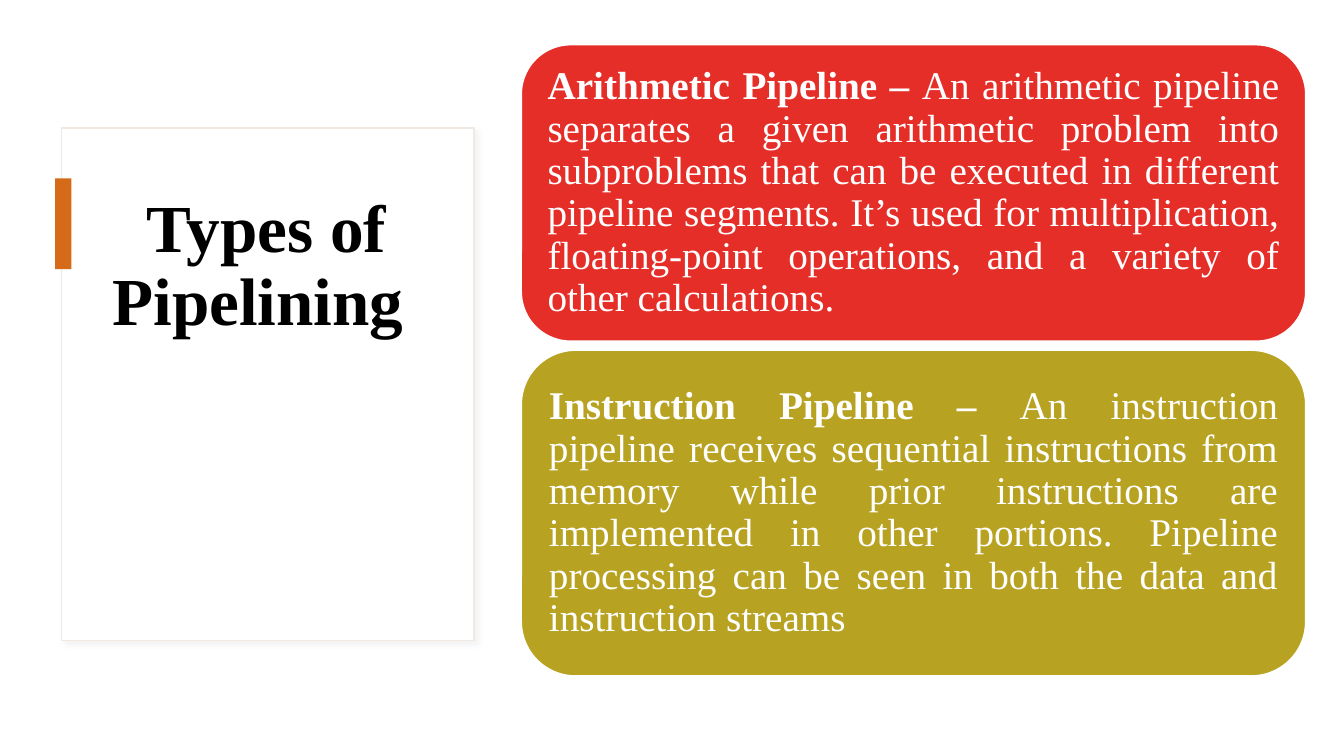
from lxml.etree import SubElement as Sub
from pptx import Presentation
from pptx.dml.color import RGBColor as Rgb
from pptx.enum.shapes import MSO_SHAPE as Form
from pptx.enum.text import MSO_ANCHOR as Anchor, PP_ALIGN as Align
from pptx.oxml.ns import qn
from pptx.util import Pt


def tint(code):
    return Rgb.from_string(code)


class Deck:
    """Hold the style and the current slide."""

    face = "Times New Roman"

    def __init__(self, wide, high):
        self.show = Presentation()
        self.show.slide_width, self.show.slide_height = Pt(wide), Pt(high)
        self.slide = self.show.slides.add_slide(self.show.slide_layouts[6])

    def shape(self, form, area, fill, line=None):
        item = self.slide.shapes.add_shape(form, *map(Pt, area))
        item.shadow.inherit = False
        item.fill.solid()
        item.fill.fore_color.rgb = tint(fill)
        if line:
            item.line.color.rgb = tint(line)
            item.line.width = Pt(1)
        else:
            item.line.fill.background()
        return item

    def shade(self, item, code):
        group = item.element.spPr.find(qn("a:effectLst"))
        cast = Sub(group, qn("a:outerShdw"), blurRad=str(Pt(4)),
                   dist=str(Pt(3)), dir="2700000", algn="tl", rotWithShape="0")
        hue = Sub(cast, qn("a:srgbClr"), val=code)
        Sub(hue, qn("a:alpha"), val="30000")

    def text(self, frame, runs, size, code, align, form):
        for name, value in form.items():
            setattr(frame, name, value)
        para = frame.paragraphs[0]
        para.alignment, para.line_spacing = align, 0.9
        for words, bold in runs:
            run = para.add_run()
            run.text = words
            look = {"name": self.face, "size": Pt(size), "bold": bold}
            for name, value in look.items():
                setattr(run.font, name, value)
            run.font.color.rgb = tint(code)

    def title(self, area, words):
        box = self.slide.shapes.add_textbox(*map(Pt, area))
        form = {"word_wrap": True, "vertical_anchor": Anchor.TOP}
        self.text(box.text_frame, [(words, True)], 48, "000000",
                  Align.CENTER, form)

    def card(self, area, fill, head, body):
        item = self.shape(Form.ROUNDED_RECTANGLE, area, fill, "FFFFFF")
        form = {"word_wrap": True, "vertical_anchor": Anchor.MIDDLE}
        for side in ("left", "top", "right", "bottom"):
            form[f"margin_{side}"] = Pt(8.4)
        self.text(item.text_frame, [(head, True), (body, False)], 28,
                  "FFFFFF", Align.JUSTIFY, form)


def main():
    deck = Deck(960, 540)
    panel = deck.shape(Form.RECTANGLE, (44, 91.5, 294.5, 366), "FFFFFF", "EFE8E3")
    deck.shade(panel, "D9D9D9")
    deck.title((68.4, 135.4, 244, 277), "Types of Pipelining ")
    deck.shape(Form.RECTANGLE, (39.5, 127.5, 11.5, 64.8), "D56B18")

    cards = [
        (211.7, "E62E29", "Arithmetic Pipeline – ",
         "An arithmetic pipeline separates a given arithmetic problem into "
         "subproblems that can be executed in different pipeline segments. "
         "It’s used for multiplication, floating-point operations, and a "
         "variety of other calculations."),
        (232.6, "B8A221", "Instruction Pipeline – ",
         "An instruction pipeline receives sequential instructions from "
         "memory while prior instructions are implemented in other portions. "
         "Pipeline processing can be seen in both the data and instruction "
         "streams"),
    ]
    top, gap = 32, 6.5
    for high, fill, head, body in cards:
        deck.card((372.4, top, 560.2, high), fill, head, body)
        top += high + gap

    deck.show.save("out.pptx")


if __name__ == "__main__":
    main()
